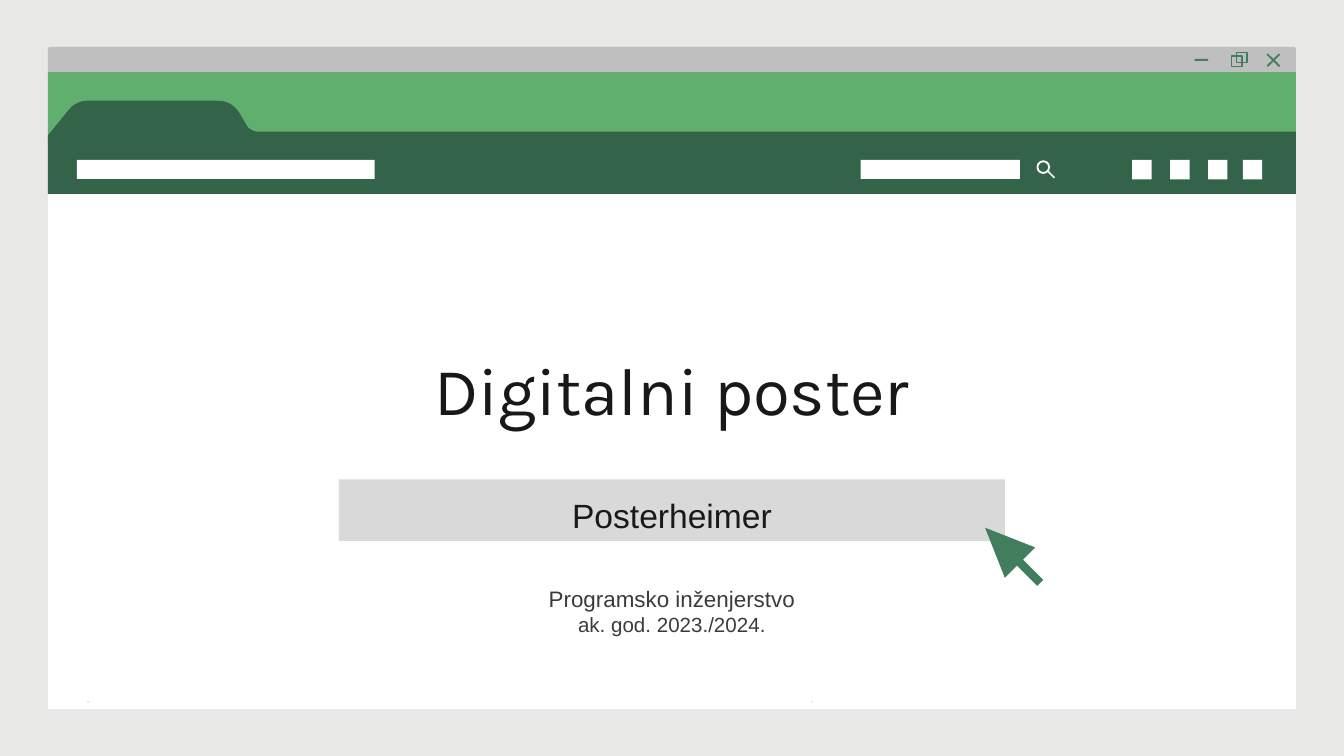
from pptx import Presentation
from pptx.dml.color import RGBColor
from pptx.enum.shapes import MSO_CONNECTOR, MSO_SHAPE
from pptx.enum.text import MSO_ANCHOR, PP_ALIGN
from pptx.oxml.ns import qn
from pptx.util import Pt
from lxml.etree import SubElement

GREEN, DARK_GREEN, ACCENT = "61AF6E", "336349", "427E5D"
WHITE, SILVER, PAGE_GREY = "FFFFFF", "BFBFBF", "E8E8E7"
LEFT, RIGHT = 25.6, 694.2
WIDTH = RIGHT - LEFT


def color(hex_text):
    return RGBColor.from_string(hex_text)


def paint(shape, fill=None, line=None, line_width=0.75):
    shape.shadow.inherit = False
    if fill:
        shape.fill.solid()
        shape.fill.fore_color.rgb = color(fill)
    else:
        shape.fill.background()
    if line:
        shape.line.color.rgb = color(line)
        shape.line.width = Pt(line_width)
    else:
        shape.line.fill.background()


def add_shape(page, kind, left, top, width, height, **style):
    shape = page.shapes.add_shape(kind, Pt(left), Pt(top), Pt(width), Pt(height))
    paint(shape, **style)
    return shape


def add_rectangle(page, left, top, width, height, **style):
    return add_shape(page, MSO_SHAPE.RECTANGLE, left, top, width, height, **style)


def add_line(page, start, end, line, width):
    connector = page.shapes.add_connector(
        MSO_CONNECTOR.STRAIGHT, *[Pt(value) for value in (*start, *end)])
    connector.line.color.rgb = color(line)
    connector.line.width = Pt(width)
    SubElement(connector._element.spPr, qn("a:effectLst"))


def add_outline(page, points, fill):
    corners = [(Pt(x), Pt(y)) for x, y in points]
    builder = page.shapes.build_freeform(*corners[0])
    builder.add_line_segments(corners[1:], close=True)
    paint(builder.convert_to_shape(), fill=fill)


def curve(start, first, second, end, steps=10):
    """Points along a cubic curve."""
    points = []
    for step in range(steps + 1):
        t = step / steps
        weights = ((1 - t) ** 3, 3 * t * (1 - t) ** 2, 3 * t * t * (1 - t), t ** 3)
        points.append(tuple(
            sum(weight * value for weight, value in zip(weights, values))
            for values in zip(start, first, second, end)))
    return points


def set_text(box, lines, font, hex_text, anchor, inset=(7.2, 7.2)):
    frame = box.text_frame
    frame.word_wrap = True
    frame.vertical_anchor = anchor
    frame.margin_top, frame.margin_bottom = [Pt(value) for value in inset]
    for index, (text, size) in enumerate(lines):
        para = frame.add_paragraph() if index else frame.paragraphs[0]
        para.text = text
        para.alignment = PP_ALIGN.CENTER
        para.font.name = font
        para.font.size = Pt(size)
        para.font.color.rgb = color(hex_text)


def add_text(page, left, top, width, height, *text_settings, **text_options):
    box = page.shapes.add_textbox(Pt(left), Pt(top), Pt(width), Pt(height))
    set_text(box, *text_settings, **text_options)


def draw_window(page):
    # Title bar, tab strip and content area
    bar = add_shape(page, MSO_SHAPE.ROUND_2_SAME_RECTANGLE,
                    LEFT, 25.1, WIDTH, 14.5, fill=SILVER)
    bar.adjustments[0] = 0.09
    add_rectangle(page, LEFT, 38.6, WIDTH, 37.7, fill=GREEN)
    add_rectangle(page, LEFT, 103.9, WIDTH, 276, fill=WHITE)

    # Toolbar with its raised tab
    add_outline(page, [
        (LEFT, 72.7),
        *curve((36.7, 59), (38.9, 56.2), (42.5, 54), (46.8, 54)),
        *curve((116.6, 54), (121.7, 54), (125.3, 56.2), (128.2, 60.5)),
        *curve((132.5, 67.7), (133.2, 69.1), (136.1, 70.6), (138.2, 70.6)),
        (RIGHT, 70.6), (RIGHT, 103.9), (LEFT, 103.9)], DARK_GREEN)

    # Window buttons: minimise, restore, close
    add_rectangle(page, 640, 31.6, 7.2, 1, fill=ACCENT)
    for left, top in ((659.7, 30.1), (662.5, 28)):
        add_rectangle(page, left, top, 5.6, 5.6, line=ACCENT)
    for start_y, end_y in ((29, 35.5), (35.5, 29)):
        add_line(page, (678.9, start_y), (685.5, end_y), ACCENT, 1)


def draw_toolbar(page):
    # Address field, search field and buttons
    for left, width in ((41.2, 159.5), (461.1, 85.3)):
        add_rectangle(page, left, 85.7, width, 10.2, fill=WHITE)
    for left in (606.5, 626.9, 647.2, 665.8):
        add_rectangle(page, left, 85.7, 10.4, 10.4, fill=WHITE)

    # Magnifier
    add_shape(page, MSO_SHAPE.OVAL, 555.8, 86.4, 6.3, 6.3, line=WHITE, line_width=1)
    add_line(page, (561.3, 91.7), (564.9, 95.3), PAGE_GREY, 1)


def main():
    deck = Presentation()
    deck.slide_width, deck.slide_height = Pt(720), Pt(405)
    page = deck.slides.add_slide(deck.slide_layouts[6])
    page.background.fill.solid()
    page.background.fill.fore_color.rgb = color(PAGE_GREY)

    draw_window(page)
    draw_toolbar(page)

    # Small corner marks
    for corner_x, tip_x in ((46.8, 48), (435.6, 434.4)):
        add_outline(page, [(corner_x, 375.2), (corner_x, 376.4), (tip_x, 376.4)],
                    "CAE8F8")

    # Title, subtitle band, pointer and course details
    add_text(page, 84.2, 177.1, 551.5, 61.9, [("Digitalni poster", 36)],
             "Karla", "181817", MSO_ANCHOR.MIDDLE)
    band = add_rectangle(page, 181.6, 256.8, 356.8, 33, fill="D9D9D9")
    set_text(band, [("Posterheimer", 18)], "Arial", "191919",
             MSO_ANCHOR.MIDDLE, inset=(4.8, 0))
    pointer = add_shape(page, MSO_SHAPE.RIGHT_ARROW, 521.6, 286, 41.8, 23,
                        fill=ACCENT)
    pointer.rotation = 225
    pointer.adjustments[0], pointer.adjustments[1] = 0.2, 1.15
    add_text(page, 181.6, 309.9, 356.8, 53.3,
             [("Programsko inženjerstvo", 12), ("ak. god. 2023./2024.", 11)],
             "Arial", "3B3B39", MSO_ANCHOR.TOP, inset=(3.6, 3.6))

    deck.save("out.pptx")


if __name__ == "__main__":
    main()
